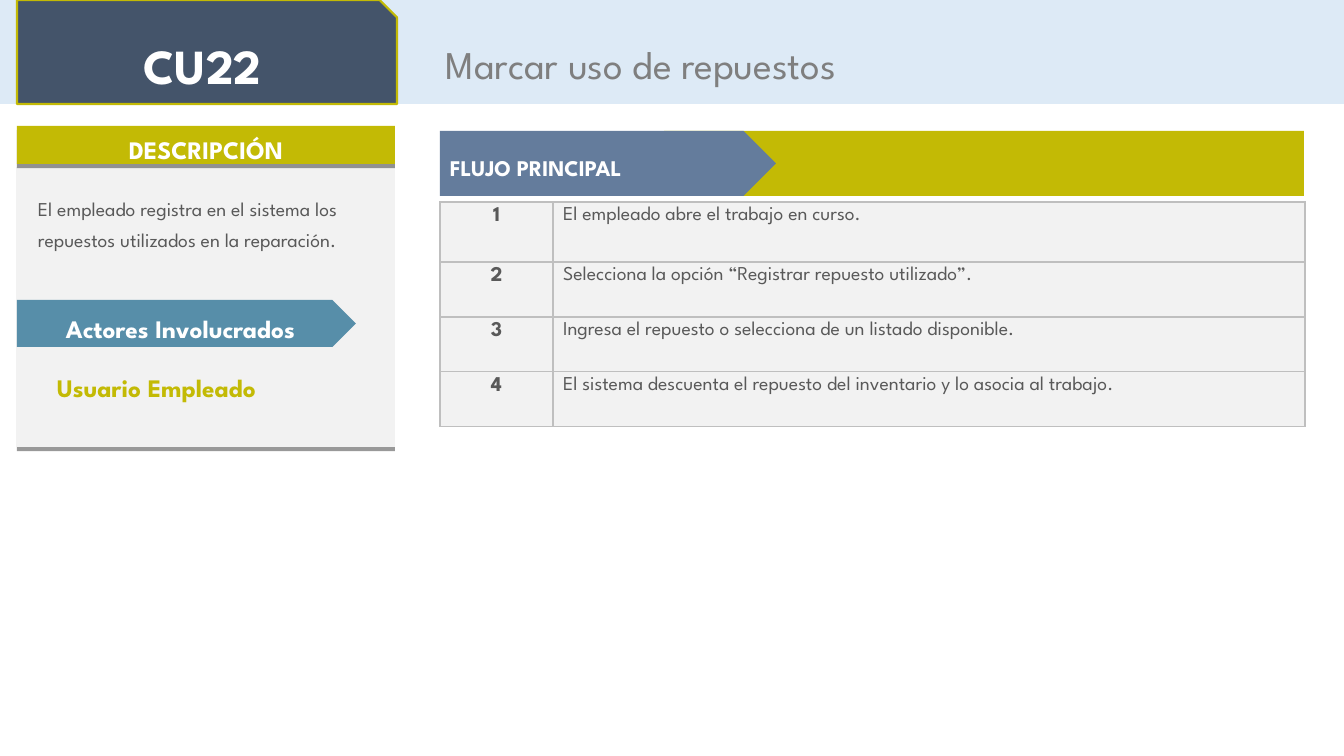
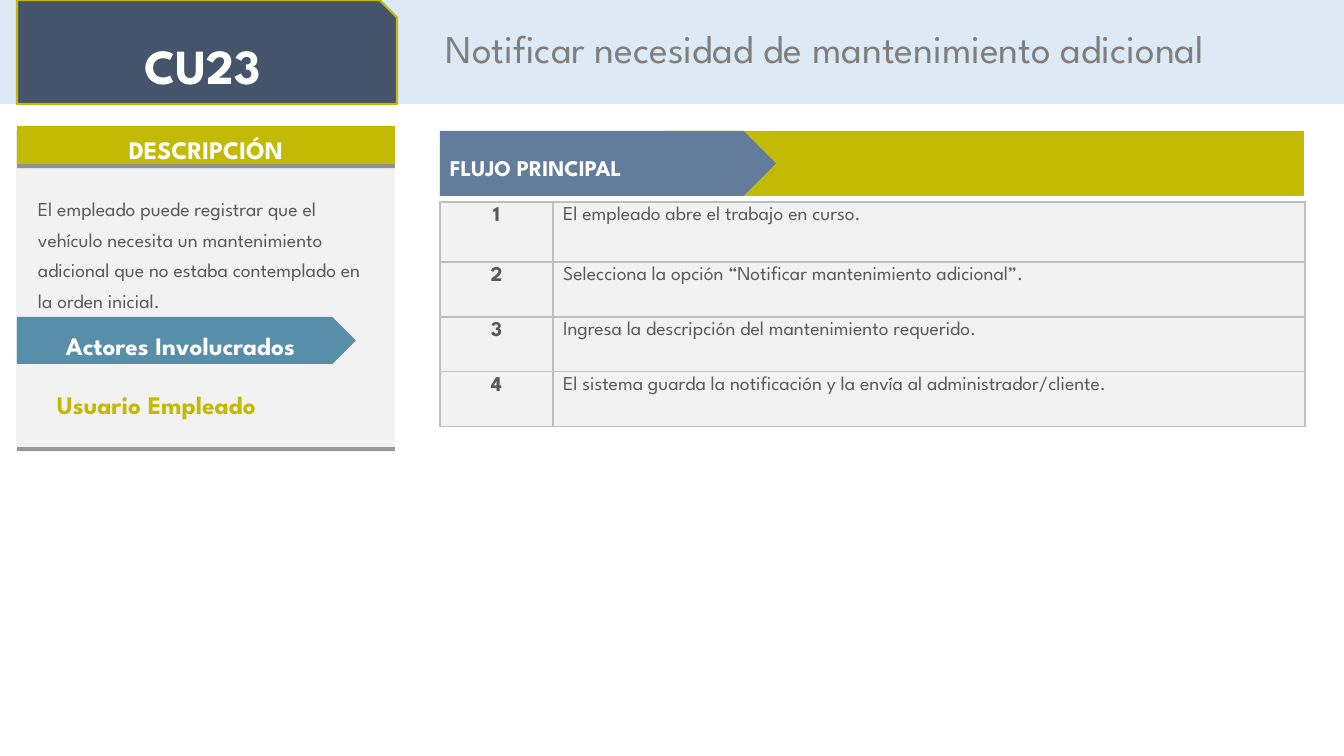
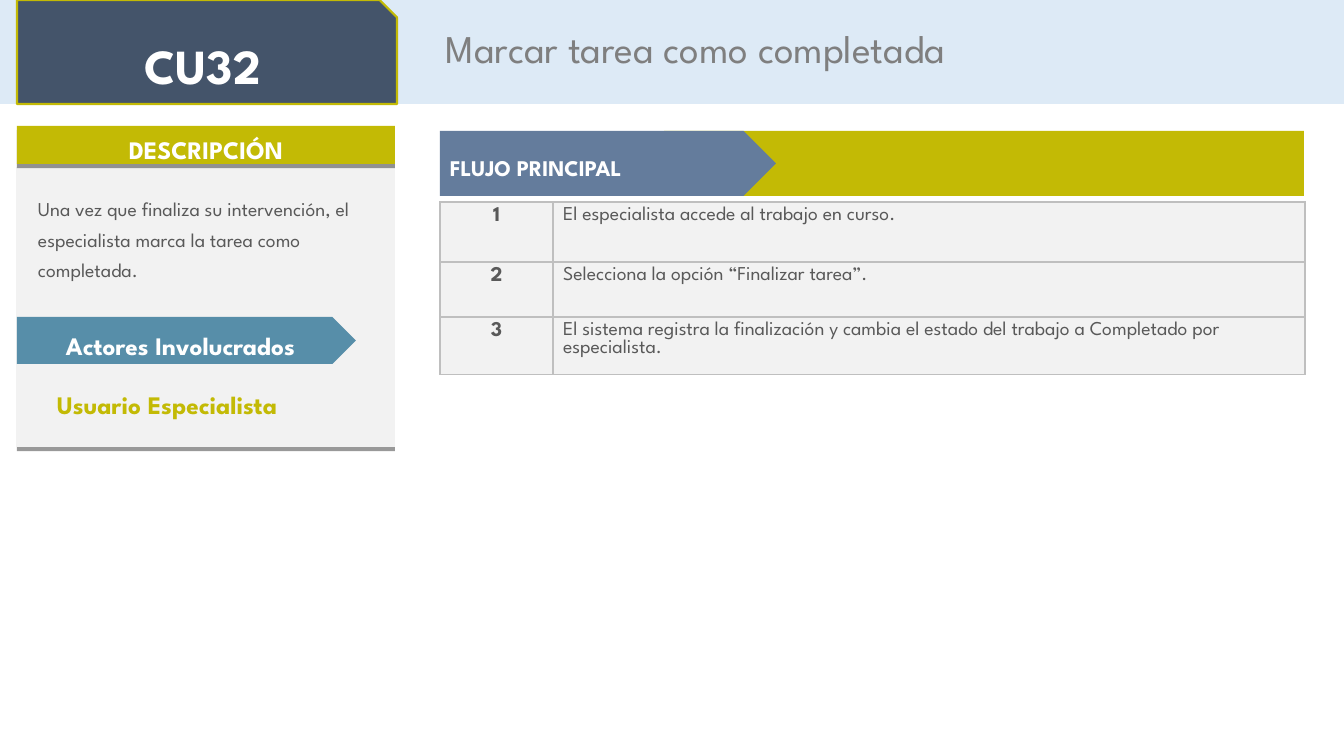
from lxml import etree
from pptx import Presentation
from pptx.dml.color import RGBColor
from pptx.enum import shapes, text
from pptx.oxml import ns
from pptx import util as u

PX = 914400 / 100.8
FONT = "League Spartan"
COLORS = {
    "band": "DDEAF6", "panel": "F2F2F2", "olive": "C3BA05", "navy": "44546A",
    "teal": "578EA9", "slate": "647C9C", "title": "7F7F7F", "body": "595959",
    "border": "BFBFBF", "white": "FFFFFF", "black": "000000",
}
RECT = shapes.MSO_SHAPE.RECTANGLE
ARROW = shapes.MSO_SHAPE.PENTAGON
SNIPPED = shapes.MSO_SHAPE.SNIP_1_RECTANGLE
LEFT, CENTER = text.PP_ALIGN.LEFT, text.PP_ALIGN.CENTER

USE_CASES = [
    {
        "code": "CU22", "title": "Marcar uso de repuestos",
        "title_top": 21, "actors_top": 300, "actor": "Usuario Empleado",
        "description": "El empleado registra en el sistema los repuestos "
                       "utilizados en la reparación.",
        "steps": [
            "El empleado abre el trabajo en curso.",
            "Selecciona la opción “Registrar repuesto utilizado”.",
            "Ingresa el repuesto o selecciona de un listado disponible.",
            "El sistema descuenta el repuesto del inventario y lo asocia al trabajo.",
        ],
    },
    {
        "code": "CU23", "title": "Notificar necesidad de mantenimiento adicional",
        "title_top": 5, "actors_top": 317, "actor": "Usuario Empleado",
        "description": "El empleado puede registrar que el vehículo necesita un "
                       "mantenimiento adicional que no estaba contemplado en la "
                       "orden inicial.",
        "steps": [
            "El empleado abre el trabajo en curso.",
            "Selecciona la opción “Notificar mantenimiento adicional”.",
            "Ingresa la descripción del mantenimiento requerido.",
            "El sistema guarda la notificación y la envía al administrador/cliente.",
        ],
    },
    {
        "code": "CU32", "title": "Marcar tarea como completada",
        "title_top": 5, "actors_top": 317, "actor": "Usuario Especialista",
        "description": "Una vez que finaliza su intervención, el especialista "
                       "marca la tarea como completada.",
        "steps": [
            "El especialista accede al trabajo en curso.",
            "Selecciona la opción “Finalizar tarea”.",
            "El sistema registra la finalización y cambia el estado del trabajo "
            "a Completado por especialista.",
        ],
    },
]


def px(length):
    return u.Emu(round(length * PX))


def color(name):
    return RGBColor.from_string(COLORS[name])


def add_xml(parent, tag, **attributes):
    return etree.SubElement(parent, ns.qn(tag), attributes)


class Deck:
    def __init__(self):
        self.deck = Presentation()
        self.deck.slide_width, self.deck.slide_height = px(1344), px(756)
        self.page = None

    def new_page(self):
        self.page = self.deck.slides.add_slide(self.deck.slide_layouts[6])

    def set_text(self, frame, words, size, ink, bold=False, align=LEFT, spacing=1.3):
        para = frame.paragraphs[0]
        para.text = words
        para.alignment = align
        para.line_spacing = spacing
        font = para.font
        font.name, font.size, font.bold = FONT, u.Pt(size), bold
        font.color.rgb = color(ink)

    def shape(self, kind, place, fill, line=None, shadow=False):
        box = self.page.shapes.add_shape(kind, *map(px, place))
        box.fill.solid()
        box.fill.fore_color.rgb = color(fill)
        if line:
            box.line.color.rgb = color(line)
            box.line.width = u.Pt(1.5)
        else:
            box.line.fill.background()
        box.shadow.inherit = False
        if shadow:
            effects = box.element.spPr.find(ns.qn("a:effectLst"))
            drop = add_xml(effects, "a:outerShdw", blurRad="0", dist=str(u.Pt(3)),
                           dir="5400000", algn="t", rotWithShape="0")
            tone = add_xml(drop, "a:srgbClr", val=COLORS["black"])
            add_xml(tone, "a:alpha", val="40000")
        return box

    def label(self, kind, place, fill, words, size, align=CENTER, **style):
        frame = self.shape(kind, place, fill, **style).text_frame
        frame.vertical_anchor = text.MSO_ANCHOR.MIDDLE
        self.set_text(frame, words, size, "white", True, align)

    def text_box(self, place, words, size, ink, bold=False):
        frame = self.page.shapes.add_textbox(*map(px, place)).text_frame
        frame.word_wrap = True
        self.set_text(frame, words, size, ink, bold)

    def cell(self, cell, words, size, bold, align):
        properties = cell._tc.get_or_add_tcPr()
        for side in ("a:lnL", "a:lnR", "a:lnT", "a:lnB"):
            edge = add_xml(properties, side, w=str(u.Pt(0.96)))
            add_xml(add_xml(edge, "a:solidFill"), "a:srgbClr", val=COLORS["border"])
        cell.fill.solid()
        cell.fill.fore_color.rgb = color("panel")
        self.set_text(cell.text_frame, words, size, "body", bold, align, 1.0)

    def steps(self, left, top, steps):
        widths = (113, 752)
        heights = [60] + [55] * (len(steps) - 1)
        table = self.page.shapes.add_table(
            len(steps), 2, px(left), px(top), px(sum(widths)), px(sum(heights))).table
        table.first_row = table.horz_banding = False
        for column, width in zip(table.columns, widths):
            column.width = px(width)
        for number, (row, height, step) in enumerate(zip(table.rows, heights, steps), 1):
            row.height = px(height)
            self.cell(row.cells[0], str(number), 15, True, CENTER)
            self.cell(row.cells[1], step, 14, False, LEFT)

    def use_case(self, case):
        self.new_page()
        # Heading band
        self.shape(RECT, (0, 0, 1344, 104), "band")
        self.label(SNIPPED, (17, 0, 380, 104), "navy", case["code"], 35, line="olive")
        self.text_box((436, case["title_top"], 836, 57), case["title"], 28, "title")
        # Description panel
        self.shape(RECT, (17, 163, 378, 284), "panel", shadow=True)
        self.label(RECT, (17, 126, 378, 38), "olive", "DESCRIPCIÓN", 18, shadow=True)
        self.text_box((28, 185, 358, 84), case["description"], 14, "body")
        # Actors
        top = case["actors_top"]
        self.label(ARROW, (17, top, 339, 47), "teal", "Actores Involucrados", 18)
        self.text_box((47, top + 58, 318, 40), case["actor"], 18, "olive", True)
        # Main flow
        self.shape(RECT, (664, 131, 640, 65), "olive")
        self.label(ARROW, (440, 131, 336, 65), "slate", "FLUJO PRINCIPAL", 16, LEFT)
        self.steps(440, 202, case["steps"])


def main():
    builder = Deck()
    for case in USE_CASES:
        builder.use_case(case)
    builder.deck.save("out.pptx")


if __name__ == "__main__":
    main()
